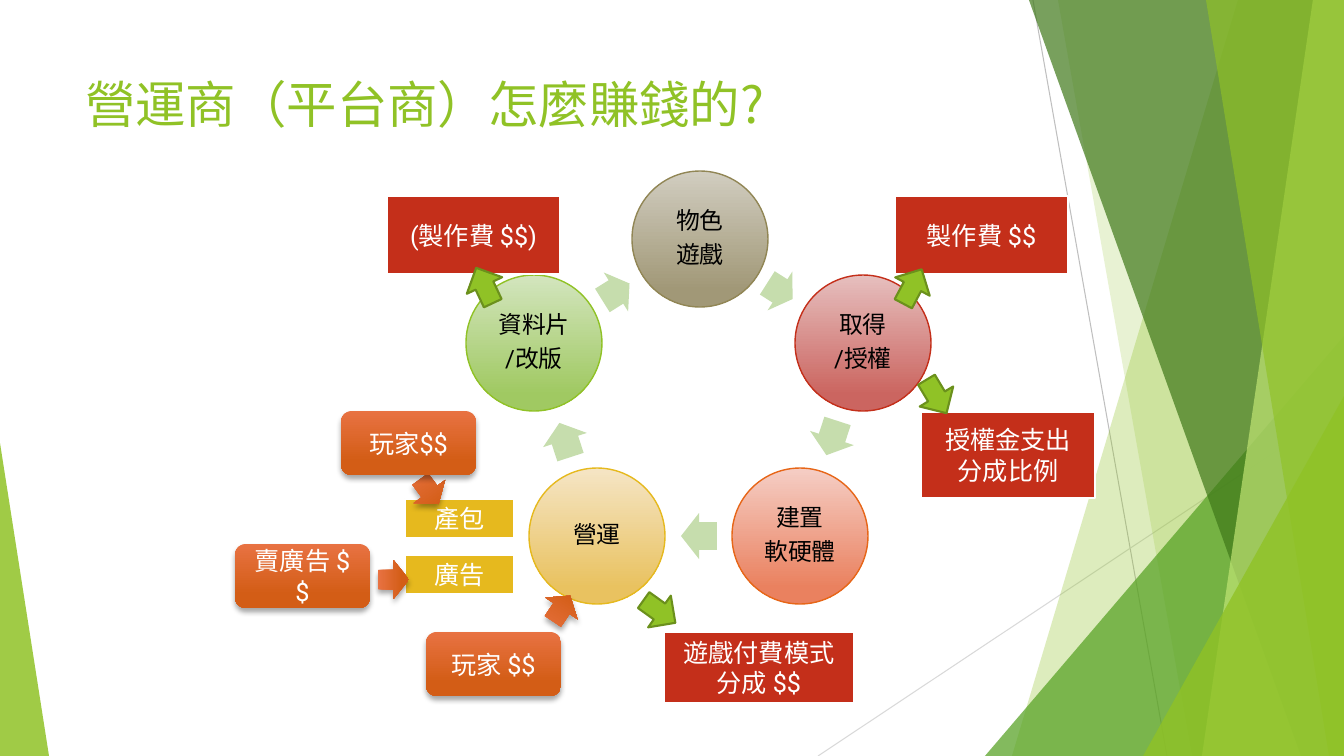
from lxml import etree
from pptx import Presentation
from pptx.dml.color import RGBColor
from pptx.enum.shapes import MSO_CONNECTOR, MSO_SHAPE
from pptx.enum.text import MSO_ANCHOR, PP_ALIGN
from pptx.oxml.ns import qn
from pptx.util import Emu, Pt

LINE = MSO_CONNECTOR.STRAIGHT
RECT, ROUND = MSO_SHAPE.RECTANGLE, MSO_SHAPE.ROUNDED_RECTANGLE
OVAL, PEAK = MSO_SHAPE.OVAL, MSO_SHAPE.ISOSCELES_TRIANGLE
RIGHT, DOWN = MSO_SHAPE.RIGHT_ARROW, MSO_SHAPE.DOWN_ARROW
MID, TOP = MSO_ANCHOR.MIDDLE, MSO_ANCHOR.TOP
CENTER, LEFT = PP_ALIGN.CENTER, PP_ALIGN.LEFT

HEX = {
    "white": "FFFFFF", "black": "000000", "green": "90C226", "leaf": "54A021",
    "forest": "3F7819", "lime": "C0E474", "edge": "6B901C", "pale": "C6DDAD",
    "red": "C42F1A", "gold": "E6B91E", "orange": "E76618", "olive": "918655",
    "gray": "BFBFBF", "silver": "D9D9D9",
}
FADES = {
    "olive": ("D1CDC0", "A19877"), "red": ("E6BFBE", "CB6560"),
    "orange": ("F5CEC5", "EA815F"), "gold": ("F5E5C5", "E9C260"),
    "green": ("D3E5BE", "A0C962"), "player": ("E87242", "D35D16"),
}


def px(n):
    return Emu(round(n * 914400 / 100.8))


def rgb(name):
    return RGBColor.from_string(HEX[name])


class Deck:
    font, head = "Roboto", "Noto Sans CJK SC"

    def __init__(self):
        self.prs = Presentation()
        self.prs.slide_width, self.prs.slide_height = px(1344), px(756)
        self.slide = self.prs.slides.add_slide(self.prs.slide_layouts[5])
        self.items = self.slide.shapes

    def paint(self, item, fill, alpha=100, line=None, width=1):
        item.shadow.inherit = False
        item.fill.solid()
        item.fill.fore_color.rgb = rgb(fill)
        if alpha < 100:
            tint = item._element.spPr.find(qn("a:solidFill"))[0]
            etree.SubElement(tint, qn("a:alpha"), val=str(alpha * 1000))
        if line:
            item.line.color.rgb = rgb(line)
            item.line.width = Pt(width)
        else:
            item.line.fill.background()
        return item

    def fade(self, item, name, stop):
        item.fill.gradient()
        item.fill.gradient_angle = 270
        for mark, tone, at in zip(item.fill.gradient_stops, FADES[name], (0, stop)):
            mark.color.rgb = RGBColor.from_string(tone)
            mark.position = at

    def glow(self, item):
        fx = item._element.spPr.find(qn("a:effectLst"))
        cast = etree.SubElement(fx, qn("a:outerShdw"), blurRad=str(Pt(4)),
                                dist=str(Pt(3)), dir="5400000", rotWithShape="0")
        tone = etree.SubElement(cast, qn("a:srgbClr"), val=HEX["black"])
        etree.SubElement(tone, qn("a:alpha"), val="35000")

    def words(self, item, text, size, color, font, anchor=MID, align=CENTER):
        frame = item.text_frame
        frame.word_wrap = True
        frame.vertical_anchor = anchor
        frame.text = text
        for para in frame.paragraphs:
            para.alignment = align
            para.font.size = Pt(size)
            para.font.name = font
            para.font.color.rgb = rgb(color)
        return frame

    def shape(self, kind, box, fill, turn=0, adj=(), **look):
        item = self.items.add_shape(kind, *map(px, box))
        item.rotation = turn
        for i, part in enumerate(adj):
            item.adjustments[i] = part
        return self.paint(item, fill, **look)

    def line(self, start, end, color):
        item = self.items.add_connector(LINE, *map(px, start + end))
        item.line.color.rgb = rgb(color)
        item.line.width = Pt(0.75)
        etree.SubElement(item._element.spPr, qn("a:effectLst"))

    def facet(self, spots, fill, alpha):
        first, *rest = [(px(x), px(y)) for x, y in spots]
        form = self.items.build_freeform(*first)
        form.add_line_segments(rest, close=True)
        self.paint(form.convert_to_shape(), fill, alpha)

    def title(self, text, box):
        item = self.items.title
        item.left, item.top, item.width, item.height = map(px, box)
        self.words(item, text, 36, "green", self.head, TOP, LEFT)

    def stage(self, mid, text, color):
        x, y = mid
        item = self.shape(OVAL, (x - 68, y - 68, 136, 136), color, line=color)
        self.fade(item, color, 0.88)
        frame = self.words(item, text, 17, "black", self.font)
        frame.margin_left = frame.margin_right = px(2)
        frame.margin_top = frame.margin_bottom = px(2)
        for para in frame.paragraphs:
            para.line_spacing = 0.9
            para.space_after = Pt(6)

    def label(self, box, text, fill):
        item = self.shape(RECT, box, fill, line="white", width=2)
        self.words(item, text, 18, "white", self.font)

    def source(self, spot, text):
        item = self.shape(ROUND, spot + (135, 64), "orange")
        self.fade(item, "player", 0.78)
        self.glow(item)
        self.words(item, text, 18, "white", self.font)

    def inflow(self, spot, turn):
        item = self.shape(DOWN, spot + (39, 31), "orange", turn)
        self.fade(item, "player", 0.78)
        self.glow(item)


def main():
    deck = Deck()

    # Backdrop
    deck.line((1033, 0), (1167, 756), "gray")
    deck.line((1344, 406), (818, 756), "silver")
    for top, foot, fill, alpha in (
        (1238, 1012, "green", 30), (1058, 1192, "green", 20), (None, 985, "leaf", 72),
        (1029, 1301, "forest", 70), (1313, 1202, "lime", 70), (1206, 1329, "green", 65),
    ):
        if top is None:
            deck.shape(PEAK, (foot, 336, 1344 - foot, 420), fill, adj=[1], alpha=alpha)
        else:
            deck.facet([(top, 0), (1344, 0), (1344, 756), (foot, 756)], fill, alpha)
    deck.shape(PEAK, (1143, 396, 201, 360), "green", adj=[1], alpha=80)
    deck.shape(PEAK, (0, 443, 49, 313), "green", adj=[0], alpha=85)

    deck.title("營運商（平台商）怎麼賺錢的?", (75, 68, 948, 145))

    # Cycle of stages
    for mid, text, color in (
        ((700, 239), "物色\n遊戲", "olive"),
        ((863, 343), "取得\n/授權", "red"),
        ((800, 536), "建置\n軟硬體", "orange"),
        ((597, 536), "營運", "gold"),
        ((534, 343), "資料片\n/改版", "green"),
    ):
        deck.stage(mid, text, color)
    for x, y, wide, turn in (
        (780, 291, 30, 32.5), (832, 438, 36, 108), (699, 536, 36, 180),
        (565, 440, 36, 252), (616, 292, 32, 328),
    ):
        deck.shape(RIGHT, (x - wide // 2, y - 23, wide, 46), "pale", turn, [0.6, 0.5])

    # Costs and products
    for box, text, fill in (
        ((921, 412, 174, 86), "授權金支出\n分成比例", "red"),
        ((405, 499, 110, 39), "產包", "gold"),
        ((405, 555, 110, 39), "廣告", "gold"),
        ((664, 632, 190, 71), "遊戲付費模式\n分成 $$", "red"),
        ((895, 196, 173, 78), "製作費 $$", "red"),
        ((387, 196, 173, 78), "(製作費 $$)", "red"),
    ):
        deck.label(box, text, fill)

    # Income
    deck.inflow((410, 476), 323.7)
    for spot, text in (((341, 411), "玩家$$"), ((235, 544), "賣廣告 $$"),
                       ((426, 632), "玩家 $$")):
        deck.source(spot, text)
    deck.inflow((374, 564), 270)
    deck.inflow((542, 593), 214)

    # Outgoing arrows
    for x, y, turn in ((640, 592, 35.6), (465, 266, 244.9),
                       (893, 267, 298), (917, 377, 59.1)):
        deck.shape(RIGHT, (x, y, 39, 39), "green", turn, line="edge", width=1.5)

    deck.prs.save("out.pptx")


if __name__ == "__main__":
    main()
